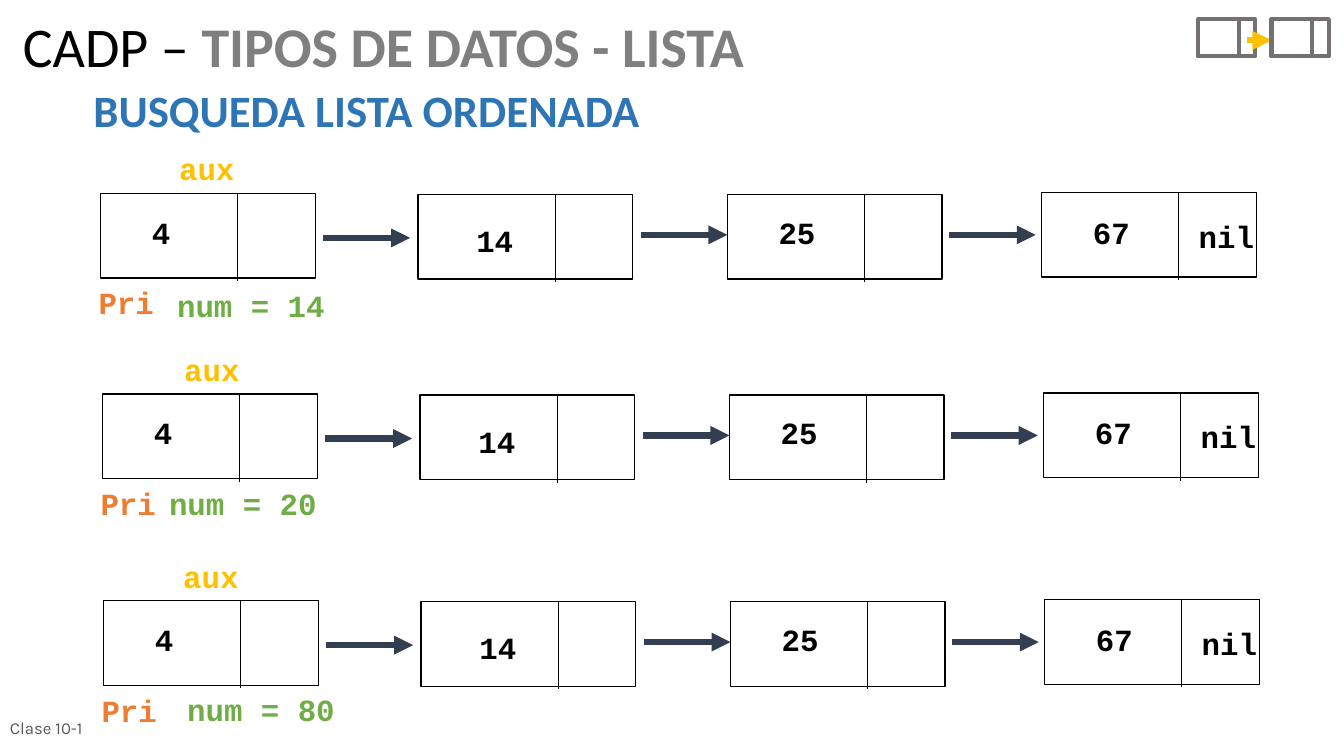
from pptx import Presentation
from pptx.dml.color import RGBColor as RGB
from pptx.enum.shapes import MSO_CONNECTOR as CONN, MSO_SHAPE as SHAPE
from pptx.enum.text import MSO_ANCHOR as ANCHOR, PP_ALIGN as ALIGN
from pptx.oxml.ns import qn
from pptx.util import Inches, Pt
from lxml.etree import SubElement

C = {"black": "000000", "title": "7F7F7F", "subtitle": "2E75B6", "footer": "595959",
     "icon": "767171", "aux": "FFC000", "pri": "ED7D31", "num": "70AD47", "arrow": "333F50"}


def inches(*values):
    """Convert plain numbers to lengths."""
    return [Inches(v) for v in values]


def add_text(shapes, box, runs, size=22, font="Courier New", wrap=True,
             anchor=ANCHOR.TOP, **para):
    """Add a text box holding one paragraph of (text, colour, bold) runs."""
    tf = shapes.add_textbox(*inches(*box)).text_frame
    tf.word_wrap, tf.vertical_anchor = wrap, anchor
    p = tf.paragraphs[0]
    for name, value in para.items():
        setattr(p, name, value)
    for text, color, bold in runs:
        r = p.add_run()
        r.text = text
        for name, value in {"size": Pt(size), "name": font, "bold": bold}.items():
            setattr(r.font, name, value)
        r.font.color.rgb = RGB.from_string(C[color])


def add_line(shapes, ends, color, width, arrow=False):
    """Add a straight line, with a triangle at its end when it is an arrow."""
    sp = shapes.add_connector(CONN.STRAIGHT, *inches(*ends))
    sp.line.color.rgb = RGB.from_string(C[color])
    sp.line.width = Pt(width)
    if arrow:
        SubElement(sp.line._get_or_add_ln(), qn("a:tailEnd"), type="triangle")
    SubElement(sp._element.spPr, qn("a:effectLst"))


def add_cell(shapes, box, split, depth, color, widths):
    """Add an unfilled rectangle with a vertical divider."""
    x, y, w, h = box
    sp = shapes.add_shape(SHAPE.RECTANGLE, *inches(x, y, w, h))
    sp.shadow.inherit = False
    sp.fill.background()
    sp.line.color.rgb = RGB.from_string(C[color])
    sp.line.width = Pt(widths[0])
    add_line(shapes, (x + split, y, x + split, y + depth), color, widths[1])


def add_icon(slide, x, y):
    """Draw the two linked cells of the corner icon."""
    shapes = slide.shapes.add_group_shape().shapes
    add_cell(shapes, (x, y, 0.57, 0.37), 0.41, 0.38, "icon", (3, 3))
    add_line(shapes, (x + 0.49, y + 0.21, x + 0.73, y + 0.21), "aux", 4.5, True)
    add_cell(shapes, (x + 0.73, y, 0.57, 0.37), 0.4, 0.38, "icon", (3, 3))


def add_header(slide, x, y):
    """Write the title, the subtitle and the corner icon."""
    add_text(slide.shapes, (x + 0.7, y + 0.63, 6.54, 0.64),
             [("BUSQUEDA LISTA ORDENADA", "subtitle", True)], 32, "Calibri",
             alignment=ALIGN.JUSTIFY)
    add_text(slide.shapes, (x, y, 8.74, 0.76),
             [("CADP – ", "black", False), ("TIPOS DE DATOS - LISTA", "title", True)],
             40, "Calibri", line_spacing=0.9)
    add_icon(slide, x + 11.76, y + 0.05)


def add_footer(slide, x, y):
    """Write the class number."""
    add_text(slide.shapes, (x, y, 2.33, 0.4), [("Clase 10-1", "footer", False)],
             12, "Karla", anchor=ANCHOR.MIDDLE)


def add_list(slide, x, y, num, aux_dx, num_dx, num_dy):
    """Draw one linked list with its pointers and the number sought."""
    shapes = slide.shapes
    nodes = [("4", 0, 0, 0.41, 0.15), ("14", 3.15, 0.01, 0.48, 0.23),
             ("25", 6.22, 0.01, 0.41, 0.15), ("67", 9.34, -0.01, 0.41, 0.15)]
    for value, dx, dy, text_dx, text_dy in nodes:
        group = shapes.add_group_shape().shapes
        add_cell(group, (x + dx, y + dy, 2.13, 0.84), 1.36, 0.87, "black", (1, 0.5))
        add_text(shapes, (x + dx + text_dx, y + text_dy, 0.2 + 0.2 * len(value), 0.47),
                 [(value, "black", True)], wrap=False)
    add_text(shapes, (x + 10.8, y + 0.19, 0.8, 0.47), [("nil", "black", True)], wrap=False)
    for dx, dy in ((2.21, 0.44), (5.36, 0.41), (8.42, 0.41)):
        add_line(shapes, (x + dx, y + dy, x + dx + 0.86, y + dy), "arrow", 4.5, True)
    add_text(shapes, (x + aux_dx, y - 0.48, 0.94, 0.47), [("aux", "aux", True)])
    add_text(shapes, (x - 0.12, y + 0.85, 0.94, 0.47), [("Pri", "pri", True)])
    add_text(shapes, (x + num_dx, y + num_dy, 1.74, 0.47),
             [(f"num = {num}", "num", True)], alignment=ALIGN.CENTER)


def main():
    """Build the slide and save it."""
    prs = Presentation()
    prs.slide_width, prs.slide_height = inches(13.34, 7.5)
    slide = prs.slides.add_slide(prs.slide_layouts[6])
    add_header(slide, 0.13, 0.14)
    add_footer(slide, 0, 7.02)
    add_list(slide, 1, 1.92, 14, 0.68, 0.62, 0.88)
    add_list(slide, 1.02, 3.91, 20, 0.71, 0.52, 0.85)
    add_list(slide, 1.03, 5.96, 80, 0.69, 0.69, 0.84)
    prs.save("out.pptx")


main()
